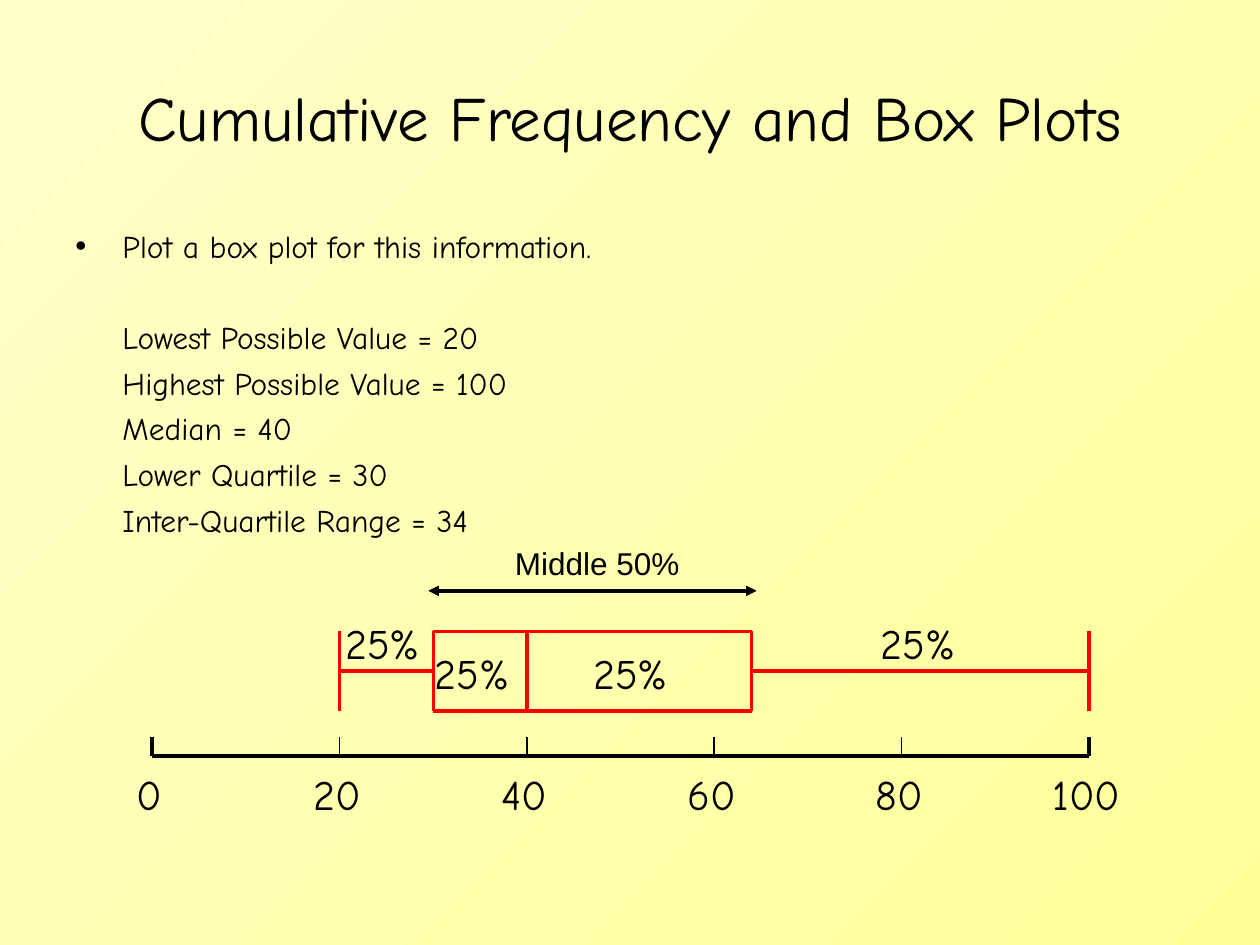
from lxml import etree
from pptx import Presentation
from pptx.dml.color import RGBColor
from pptx.enum.shapes import MSO_CONNECTOR
from pptx.enum.text import MSO_ANCHOR, PP_ALIGN
from pptx.oxml.ns import qn
from pptx.util import Cm, Pt

STRAIGHT = MSO_CONNECTOR.STRAIGHT
MIDDLE = MSO_ANCHOR.MIDDLE
LEFT, CENTER = PP_ALIGN.LEFT, PP_ALIGN.CENTER
BLACK, RED = "000000", "FF0000"
HAND, PLAIN = "Comic Neue", "Arial"

presentation = Presentation()
presentation.slide_width, presentation.slide_height = Cm(25.4), Cm(19.05)
slide = presentation.slides.add_slide(presentation.slide_layouts[6])

backdrop = slide.background.fill
backdrop.gradient()
backdrop.gradient_angle = 315
for stop, shade in zip(backdrop.gradient_stops, ("FFFFCC", "FFFF99")):
    stop.color.rgb = RGBColor.from_string(shade)


def add_text(lines, left, top, width, height, size, font=HAND, align=LEFT):
    frame = slide.shapes.add_textbox(Cm(left), Cm(top), Cm(width), Cm(height)).text_frame
    frame.word_wrap = True
    frame.text = "\n".join(lines)
    for paragraph in frame.paragraphs:
        paragraph.alignment = align
        for run in paragraph.runs:
            run.font.size = Pt(size)
            run.font.name = font
            run.font.color.rgb = RGBColor.from_string(BLACK)
    return frame


def add_line(x1, y1, x2, y2, color, weight):
    line = slide.shapes.add_connector(STRAIGHT, Cm(x1), Cm(y1), Cm(x2), Cm(y2))
    line.line.color.rgb = RGBColor.from_string(color)
    line.line.width = Pt(weight)
    etree.SubElement(line._element.spPr, qn("a:effectLst"))
    return line


title = add_text(["Cumulative Frequency and Box Plots"], 1.27, 0.76, 22.86, 3.18, 36, align=CENTER)
title.vertical_anchor = MIDDLE

facts = add_text([
    "Plot a box plot for this information.",
    "Lowest Possible Value = 20",
    "Highest Possible Value = 100",
    "Median = 40",
    "Lower Quartile = 30",
    "Inter-Quartile Range = 34",
], 1.27, 4.45, 22.7, 12.57, 18)
task, first_fact, *other_facts = facts.paragraphs
for paragraph in facts.paragraphs:
    paragraph._p.get_or_add_pPr().set("marL", str(Cm(0.95)))
task_properties = task._p.get_or_add_pPr()
task_properties.set("indent", str(Cm(-0.95)))
etree.SubElement(task_properties, qn("a:buFont"), typeface=PLAIN)
etree.SubElement(task_properties, qn("a:buChar"), char="•")
first_fact.space_before = Pt(30.5)
for paragraph in other_facts:
    paragraph.space_before = Pt(4.5)

AXIS_START, AXIS_LENGTH, AXIS_Y = 3.07, 18.88, 15.24
scale = {value: AXIS_START + AXIS_LENGTH * value / 100
         for value in (0, 20, 30, 40, 60, 64, 80, 100)}

add_line(scale[0], AXIS_Y, scale[100], AXIS_Y, BLACK, 2.25)
for value in range(0, 101, 20):
    add_line(scale[value], AXIS_Y - 0.38, scale[value], AXIS_Y, BLACK,
             2.25 if value in (0, 100) else 1)
    add_text([str(value)], scale[value] - 1.15, 15.36, 2.2, 1.27, 24, align=CENTER)

BOX_TOP, BOX_BOTTOM = 12.73, 14.33
WHISKER_Y = (BOX_TOP + BOX_BOTTOM) / 2
for value in (20, 30, 40, 64, 100):
    add_line(scale[value], BOX_TOP, scale[value], BOX_BOTTOM, RED, 2)
for start, end, y in ((30, 64, BOX_TOP), (30, 64, BOX_BOTTOM),
                      (20, 30, WHISKER_Y), (64, 100, WHISKER_Y)):
    add_line(scale[start], y, scale[end], y, RED, 2)

for left, top in ((6.71, 12.32), (8.51, 12.93), (11.71, 12.93), (17.5, 12.32)):
    add_text(["25%"], left, top, 2.39, 1.27, 24)

middle_span = add_line(scale[30] - 0.1, 11.91, scale[64] + 0.1, 11.91, BLACK, 2)
for arrow_end in ("a:headEnd", "a:tailEnd"):
    etree.SubElement(middle_span.line._get_or_add_ln(), qn(arrow_end), type="triangle")
add_text(["Middle 50%"], 10.13, 10.85, 4.19, 1.02, 18, PLAIN)

presentation.save("out.pptx")
